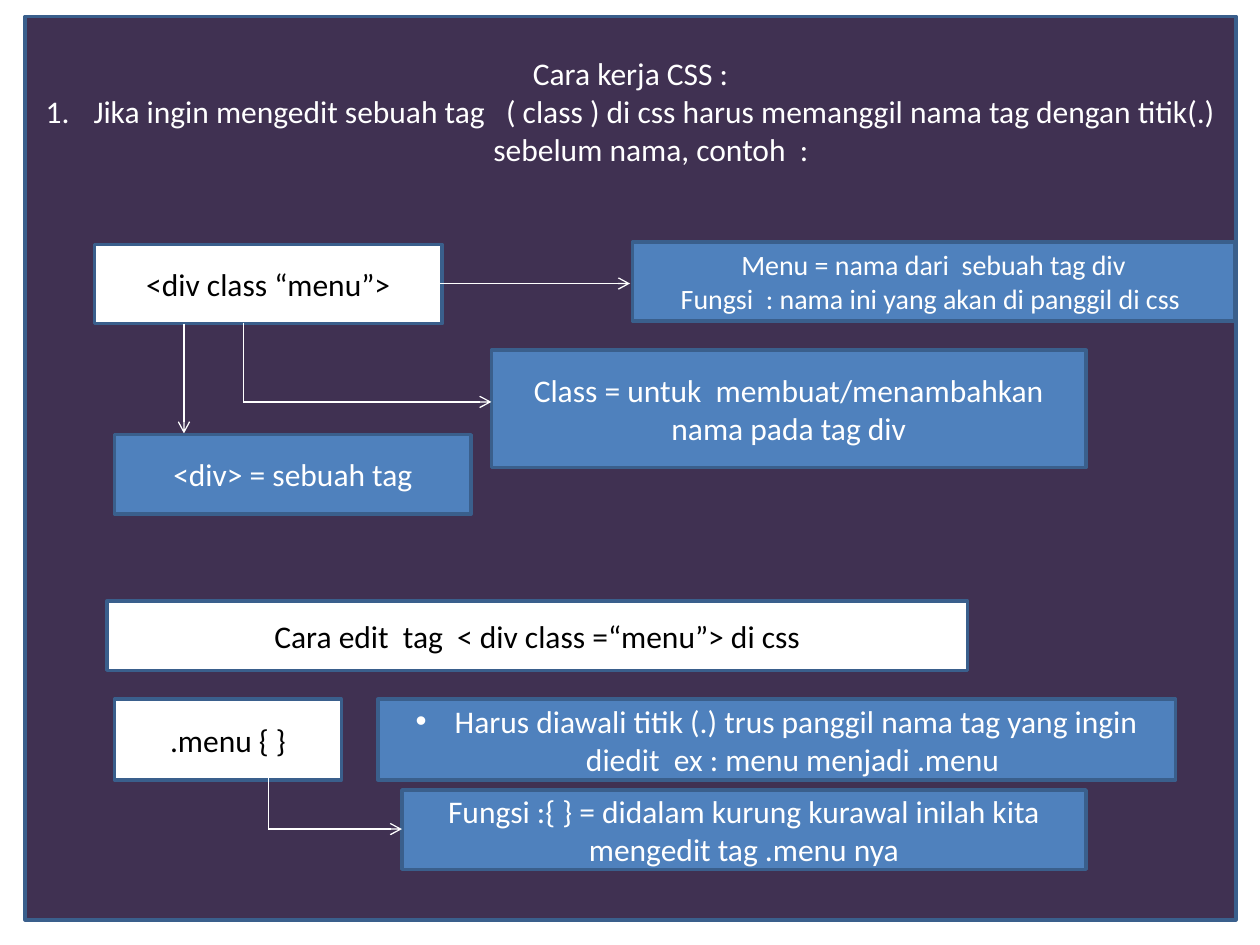
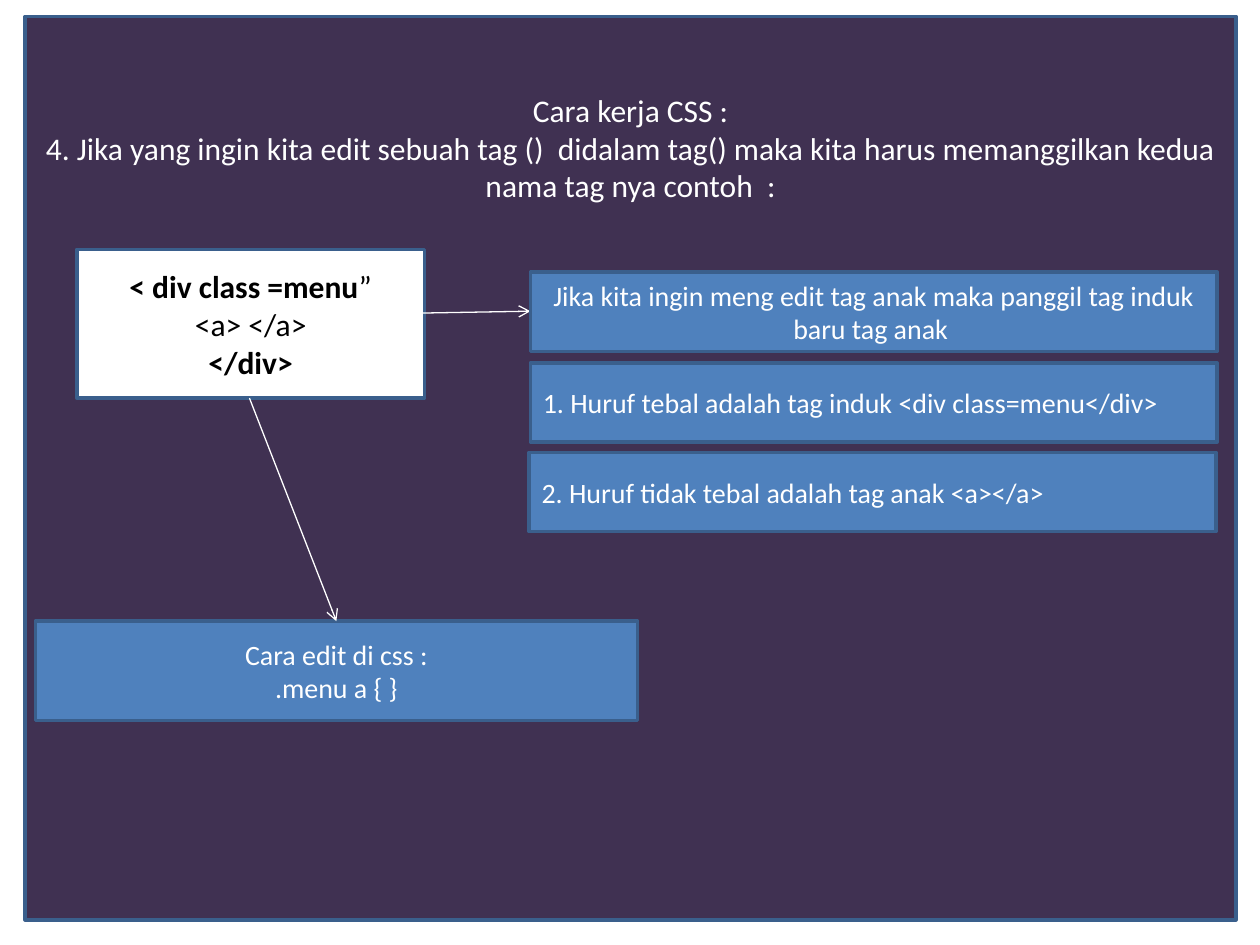
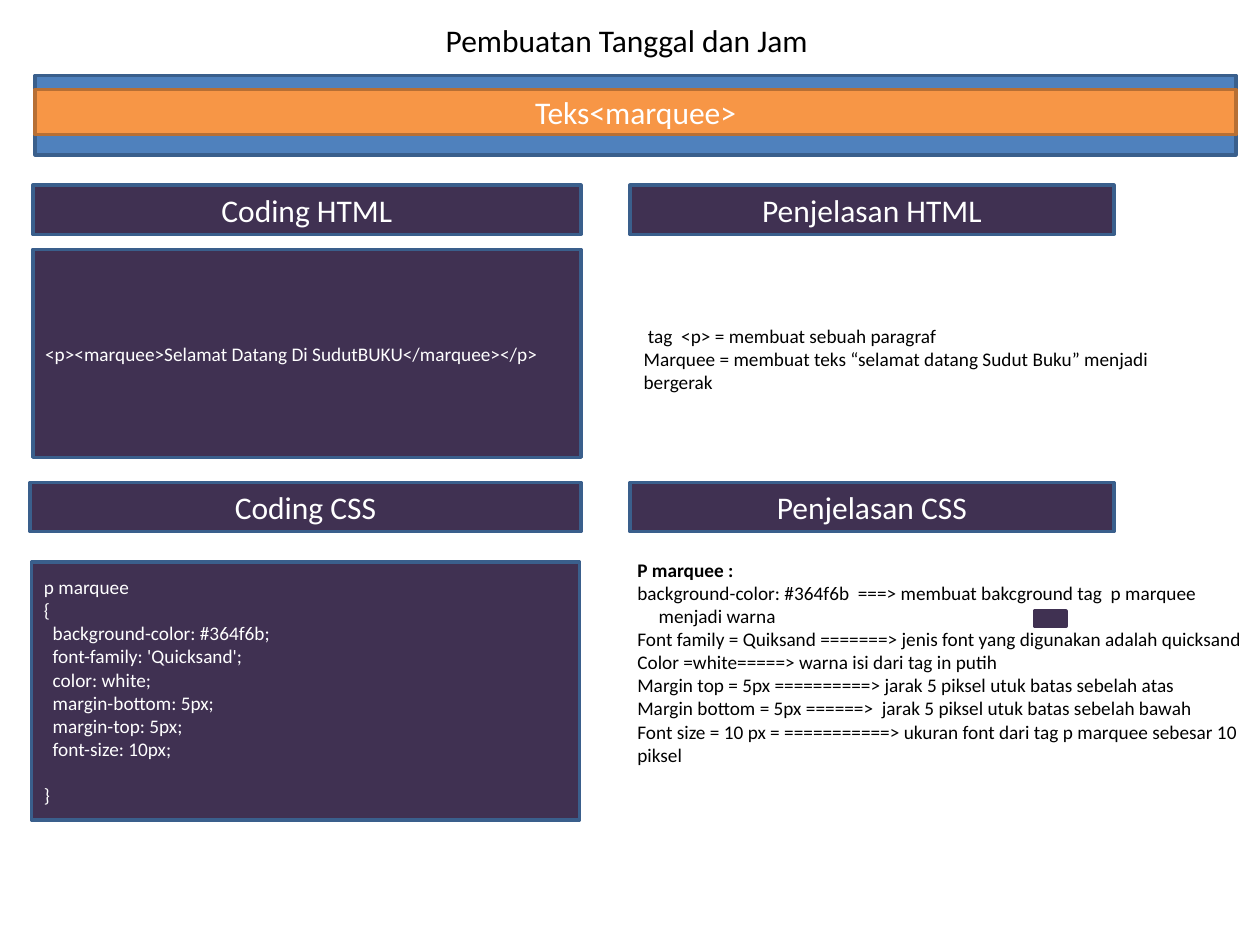
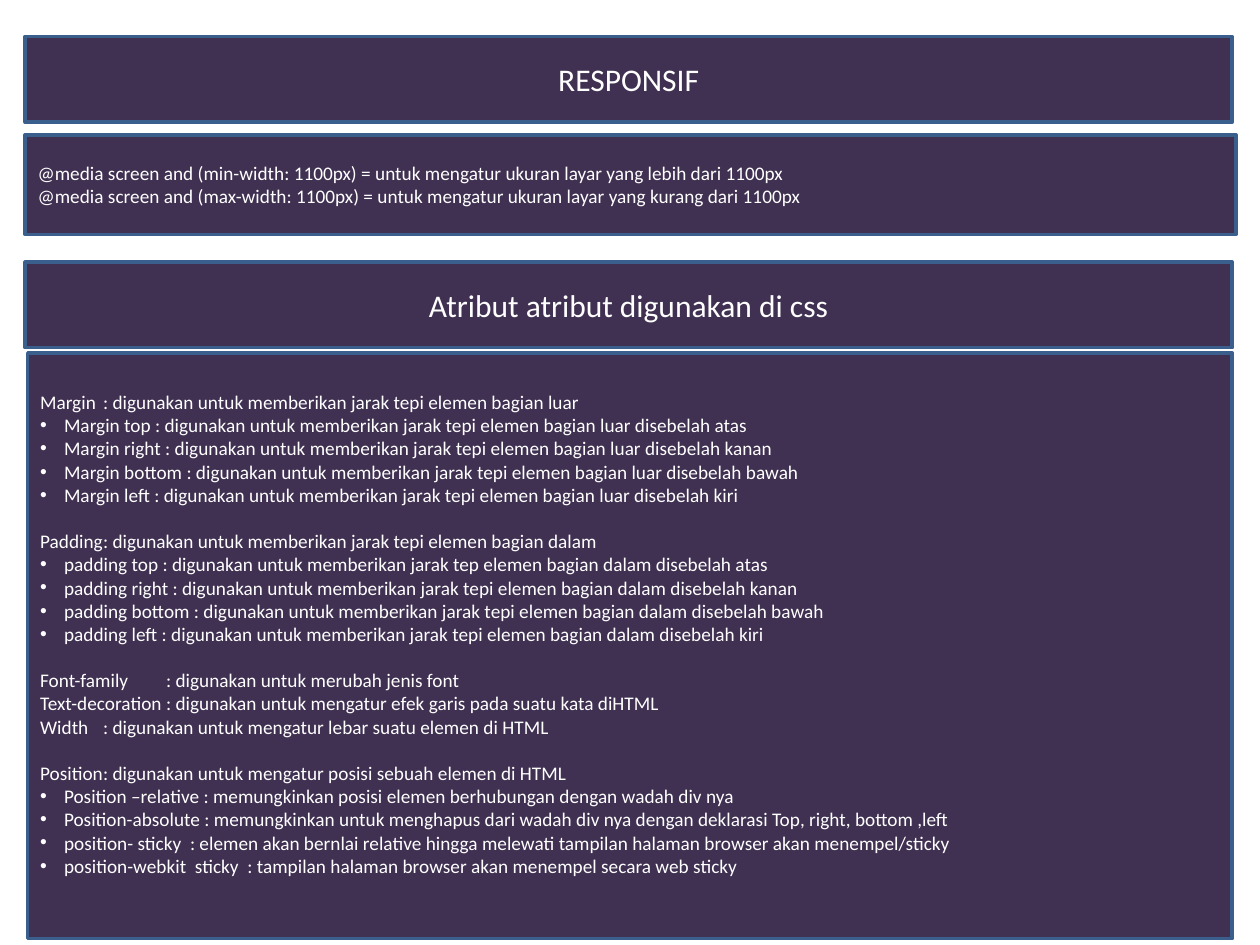
"""Build four slides that explain how CSS works."""
from lxml import etree
from pptx import Presentation
from pptx.dml.color import RGBColor
from pptx.enum.shapes import MSO_CONNECTOR, MSO_SHAPE
from pptx.enum.text import MSO_ANCHOR, MSO_AUTO_SIZE, PP_ALIGN
from pptx.oxml.ns import qn
from pptx.util import Inches, Pt

RECTANGLE = MSO_SHAPE.RECTANGLE
STRAIGHT = MSO_CONNECTOR.STRAIGHT
LEFT, CENTER = PP_ALIGN.LEFT, PP_ALIGN.CENTER
TOP, MIDDLE = MSO_ANCHOR.TOP, MSO_ANCHOR.MIDDLE
NO_FIT = MSO_AUTO_SIZE.NONE

WHITE = RGBColor(0xFF, 0xFF, 0xFF)
BLACK = RGBColor(0x00, 0x00, 0x00)
PLUM = RGBColor(0x40, 0x31, 0x52)
BLUE = RGBColor(0x4F, 0x81, 0xBD)
NAVY = RGBColor(0x3A, 0x5F, 0x8C)
ORANGE = RGBColor(0xF7, 0x96, 0x46)
RUST = RGBColor(0xB7, 0x6F, 0x34)

FONT = "Calibri"
HEADING, NOTE, CODE = 18, 16, 11
CODE_LINE = Pt(13.4)
PANEL = (0.2, 0.13, 9.61, 7.17)


class Page:
    """Hold the shared style and the slide being filled."""

    def __init__(self, deck):
        """Add a title-only slide to the deck."""
        self.slide = deck.slides.add_slide(deck.slide_layouts[5])

    def dress(self, box, text, fill, line, ink, size, align, anchor):
        """Give a shape its colours and text."""
        box.fill.solid()
        box.fill.fore_color.rgb = fill
        if line is None:
            box.line.fill.background()
        else:
            box.line.color.rgb = line
            box.line.width = Pt(2)
        frame = box.text_frame
        frame.word_wrap = True
        frame.auto_size = NO_FIT
        frame.vertical_anchor = anchor
        frame.text = text
        for para in frame.paragraphs:
            para.alignment = align
            for span in para.runs:
                span.font.name = FONT
                span.font.size = Pt(size)
                span.font.color.rgb = ink
        return box

    def title(self, place, text, fill=PLUM, line=NAVY, ink=WHITE, anchor=MIDDLE):
        """Place and format the title placeholder."""
        box = self.slide.shapes.title
        box.left, box.top, box.width, box.height = map(Inches, place)
        return self.dress(box, text, fill, line, ink, HEADING, CENTER, anchor)

    def panel_title(self, text, inset):
        """Make the title a panel that fills the slide."""
        box = self.title(PANEL, text, anchor=TOP)
        box.text_frame.margin_top = Inches(inset)
        return box

    def box(self, place, text="", fill=BLUE, line=NAVY, ink=WHITE,
            size=HEADING, align=CENTER, anchor=MIDDLE):
        """Add a rectangle with text."""
        box = self.slide.shapes.add_shape(RECTANGLE, *map(Inches, place))
        box.shadow.inherit = False
        return self.dress(box, text, fill, line, ink, size, align, anchor)

    def tag(self, place, text):
        """Add a white box with black text."""
        return self.box(place, text, WHITE, ink=BLACK)

    def band(self, place, text):
        """Add a plum heading band."""
        return self.box(place, text, PLUM)

    def code(self, place, text):
        """Add a plum box with small left-aligned text."""
        return self.box(place, text, PLUM, size=CODE, align=LEFT)

    def prose(self, place, text, anchor=MIDDLE):
        """Add small black text on white without an outline."""
        return self.box(place, text, WHITE, None, BLACK, CODE, LEFT, anchor)

    def route(self, *points):
        """Join points with white lines and an arrowhead at the end."""
        for start, end in zip(points, points[1:]):
            link = self.slide.shapes.add_connector(
                STRAIGHT, *map(Inches, start + end))
            link.line.color.rgb = WHITE
            link.line.width = Pt(0.75)
            if end == points[-1]:
                outline = link.line._get_or_add_ln()
                etree.SubElement(outline, qn("a:tailEnd"), type="arrow")
            etree.SubElement(link._element.spPr, qn("a:effectLst"))

    def indent(self, para, margin, first=0):
        """Set the left margin and first-line indent of a paragraph."""
        properties = para._p.get_or_add_pPr()
        properties.set("marL", str(Inches(margin)))
        properties.set("indent", str(Inches(first)))
        return properties

    def bullet(self, para, margin):
        """Give a paragraph a hanging round bullet."""
        properties = self.indent(para, margin, -margin)
        etree.SubElement(properties, qn("a:buFont"), typeface="Arial")
        etree.SubElement(properties, qn("a:buChar"), char="•")

    def number(self, para, margin):
        """Give a paragraph a hanging number."""
        properties = self.indent(para, margin, -margin)
        etree.SubElement(properties, qn("a:buFont"), typeface="+mj-lt")
        etree.SubElement(properties, qn("a:buAutoNum"), type="arabicPeriod")


def class_slide(deck):
    """Explain how to select a class."""
    page = Page(deck)
    panel = page.panel_title(
        "Cara kerja CSS :\nJika ingin mengedit sebuah tag   ( class ) di css harus "
        "memanggil nama tag dengan titik(.) sebelum nama, contoh  : ", 0.3)
    page.number(panel.text_frame.paragraphs[1], 0.38)
    page.tag((0.75, 1.94, 2.76, 0.63), "<div class “menu”>")
    page.route((1.46, 2.57), (1.46, 3.44))
    page.box((0.91, 3.45, 2.83, 0.63), "<div> = sebuah tag")
    page.box((3.9, 2.78, 4.72, 0.93),
             "Class = untuk  membuat/menambahkan nama pada tag div")
    page.route((3.19, 2.25), (5, 2.25))
    page.box((5.02, 1.92, 4.78, 0.63),
             "Menu = nama dari  sebuah tag div\n"
             "Fungsi  : nama ini yang akan di panggil di css ", size=NOTE)
    page.tag((0.85, 4.77, 6.83, 0.55), "Cara edit  tag  < div class =“menu”> di css")
    page.tag((0.91, 5.55, 1.8, 0.64), ".menu { }")
    rule = page.box((3, 5.55, 6.33, 0.64),
                    "Harus diawali titik (.) trus panggil nama tag yang ingin "
                    "diedit  ex : menu menjadi .menu ")
    page.bullet(rule.text_frame.paragraphs[0], 0.31)
    page.box((3.19, 6.27, 5.43, 0.63),
             "Fungsi :{ } = didalam kurung kurawal inilah kita mengedit tag .menu nya")
    page.route((2.13, 6.15), (2.13, 6.58), (3.19, 6.58))
    page.route((1.93, 2.56), (1.93, 3.19), (3.9, 3.19))


def nested_slide(deck):
    """Explain how to select a tag inside a tag."""
    page = Page(deck)
    page.panel_title(
        "Cara kerja CSS :\n4. Jika yang ingin kita edit sebuah tag ()  didalam tag() "
        "maka kita harus memanggilkan kedua nama tag nya contoh  :", 0.59)
    sample = page.tag((0.61, 1.98, 2.76, 1.18), "< div class =menu\n<a> </a>\n</div>")
    opening, _, closing = sample.text_frame.paragraphs
    for para in (opening, closing):
        para.runs[0].font.bold = True
    quote = opening.add_run()
    quote.text = "”"
    quote.font.name = FONT
    quote.font.size = Pt(HEADING)
    quote.font.color.rgb = BLACK
    page.route((3.05, 2.49), (4.21, 2.47))
    page.box((4.21, 2.16, 5.45, 0.63),
             "Jika kita ingin meng edit tag anak maka panggil tag induk baru tag anak ",
             size=NOTE)
    page.box((0.28, 4.93, 4.78, 0.79), "Cara edit di css :\n.menu a { }", size=NOTE)
    page.route((1.98, 3.16), (2.67, 4.93))
    page.box((4.21, 2.88, 5.45, 0.63),
             "1. Huruf tebal adalah tag induk <div class=menu</div>",
             size=NOTE, align=LEFT)
    page.box((4.2, 3.59, 5.45, 0.63),
             "2. Huruf tidak tebal adalah tag anak <a></a>", size=NOTE, align=LEFT)


def marquee_slide(deck):
    """Show the marquee code beside its explanation."""
    page = Page(deck)
    page.title((0.41, 0.13, 9.13, 0.38), "Pembuatan Tanggal dan Jam", WHITE, None, BLACK)
    page.box((0.28, 0.6, 9.53, 0.63))
    page.box((0.28, 0.71, 9.53, 0.36), "Teks<marquee>", ORANGE, RUST)
    for top, language, left, width in ((1.47, "HTML", 0.26, 4.35),
                                       (3.83, "CSS", 0.24, 4.37)):
        page.band((left, top, width, 0.39), f"Coding {language}")
        page.band((5, top, 3.84, 0.39), f"Penjelasan {language}")
    page.code((0.26, 1.98, 4.35, 1.65),
              "<p><marquee>Selamat Datang Di SudutBUKU</marquee></p>")
    page.prose((5.01, 2.02, 4.99, 1.65),
               " tag  <p> = membuat sebuah paragraf\n"
               "Marquee = membuat teks “selamat datang Sudut Buku” menjadi\vbergerak")
    declarations = ["background-color: #364f6b;", "font-family: 'Quicksand';",
                    "color: white;", "margin-bottom: 5px;", "margin-top: 5px;",
                    "font-size: 10px;"]
    rule = page.code((0.25, 4.46, 4.35, 2.05),
                     "\n".join(["p marquee ", "{", *declarations, "}"]))
    lines = rule.text_frame.paragraphs
    for para in lines[2:-1]:
        page.indent(para, 0.07)
    lines[-1].space_before = CODE_LINE
    meaning = page.prose(
        (4.96, 4.38, 5.04, 1.97),
        "P marquee :\n"
        "background-color: #364f6b  ===> membuat bakcground tag  p marquee menjadi warna\n"
        "Font family = Quiksand =======> jenis font yang digunakan adalah quicksand\n"
        "Color =white=====> warna isi dari tag in putih\n"
        "Margin top = 5px ==========> jarak 5 piksel utuk batas sebelah atas\n"
        "Margin bottom = 5px ======>  jarak 5 piksel utuk batas sebelah bawah\n"
        "Font size = 10 px = ===========> ukuran font dari tag p marquee sebesar 10 piksel ",
        TOP)
    heading, background = meaning.text_frame.paragraphs[:2]
    heading.runs[0].font.bold = True
    page.indent(background, 0.17, -0.17)
    page.box((8.21, 4.85, 0.25, 0.12), fill=PLUM, line=PLUM)


ATTRIBUTES = [
    (["Margin\t: digunakan untuk memberikan jarak tepi elemen bagian luar"],
     ["Margin top : digunakan untuk memberikan jarak tepi elemen bagian luar disebelah atas",
      "Margin right : digunakan untuk memberikan jarak tepi elemen bagian luar disebelah kanan",
      "Margin bottom : digunakan untuk memberikan jarak tepi elemen bagian luar disebelah bawah",
      "Margin left : digunakan untuk memberikan jarak tepi elemen bagian luar disebelah kiri"]),
    (["Padding\t: digunakan untuk memberikan jarak tepi elemen bagian dalam"],
     ["padding top : digunakan untuk memberikan jarak tep elemen bagian dalam disebelah atas",
      "padding right : digunakan untuk memberikan jarak tepi elemen bagian dalam disebelah kanan",
      "padding bottom : digunakan untuk memberikan jarak tepi elemen bagian dalam disebelah bawah",
      "padding left : digunakan untuk memberikan jarak tepi elemen bagian dalam disebelah kiri"]),
    (["Font-family\t: digunakan untuk merubah jenis font",
      "Text-decoration\t: digunakan untuk mengatur efek garis pada suatu kata diHTML",
      "Width\t: digunakan untuk mengatur lebar suatu elemen di HTML"], []),
    (["Position\t: digunakan untuk mengatur posisi sebuah elemen di HTML"],
     ["Position –relative : memungkinkan posisi elemen berhubungan dengan wadah div nya",
      "Position-absolute : memungkinkan untuk menghapus dari wadah div nya dengan deklarasi "
      "Top, right, bottom ,left",
      "position- sticky  : elemen akan bernlai relative hingga melewati tampilan halaman "
      "browser akan menempel/sticky",
      "position-webkit  sticky  : tampilan halaman browser akan menempel secara web sticky"]),
]


def responsive_slide(deck):
    """List the media queries and the CSS attributes."""
    page = Page(deck)
    page.title((0.2, 0.29, 9.58, 0.68), "RESPONSIF")
    page.code((0.2, 1.07, 9.61, 0.79),
              "@media screen and (min-width: 1100px) = untuk mengatur ukuran layar "
              "yang lebih dari 1100px \n"
              "@media screen and (max-width: 1100px) = untuk mengatur ukuran layar "
              "yang kurang dari 1100px")
    lines = [line for terms, items in ATTRIBUTES for line in terms + items]
    listing = page.code((0.22, 2.8, 9.56, 4.65), "\n".join(lines))
    listing.text_frame.margin_bottom = Inches(0.24)
    paragraphs = listing.text_frame.paragraphs
    start = 0
    for terms, items in ATTRIBUTES:
        if start:
            paragraphs[start].space_before = CODE_LINE
        end = start + len(terms) + len(items)
        for para in paragraphs[start + len(terms):end]:
            page.bullet(para, 0.19)
        start = end
    page.band((0.2, 2.08, 9.58, 0.68), "Atribut atribut digunakan di css")


deck = Presentation()
deck.slide_width, deck.slide_height = Inches(10), Inches(7.5)
for build in (class_slide, nested_slide, marquee_slide, responsive_slide):
    build(deck)
deck.save("out.pptx")
